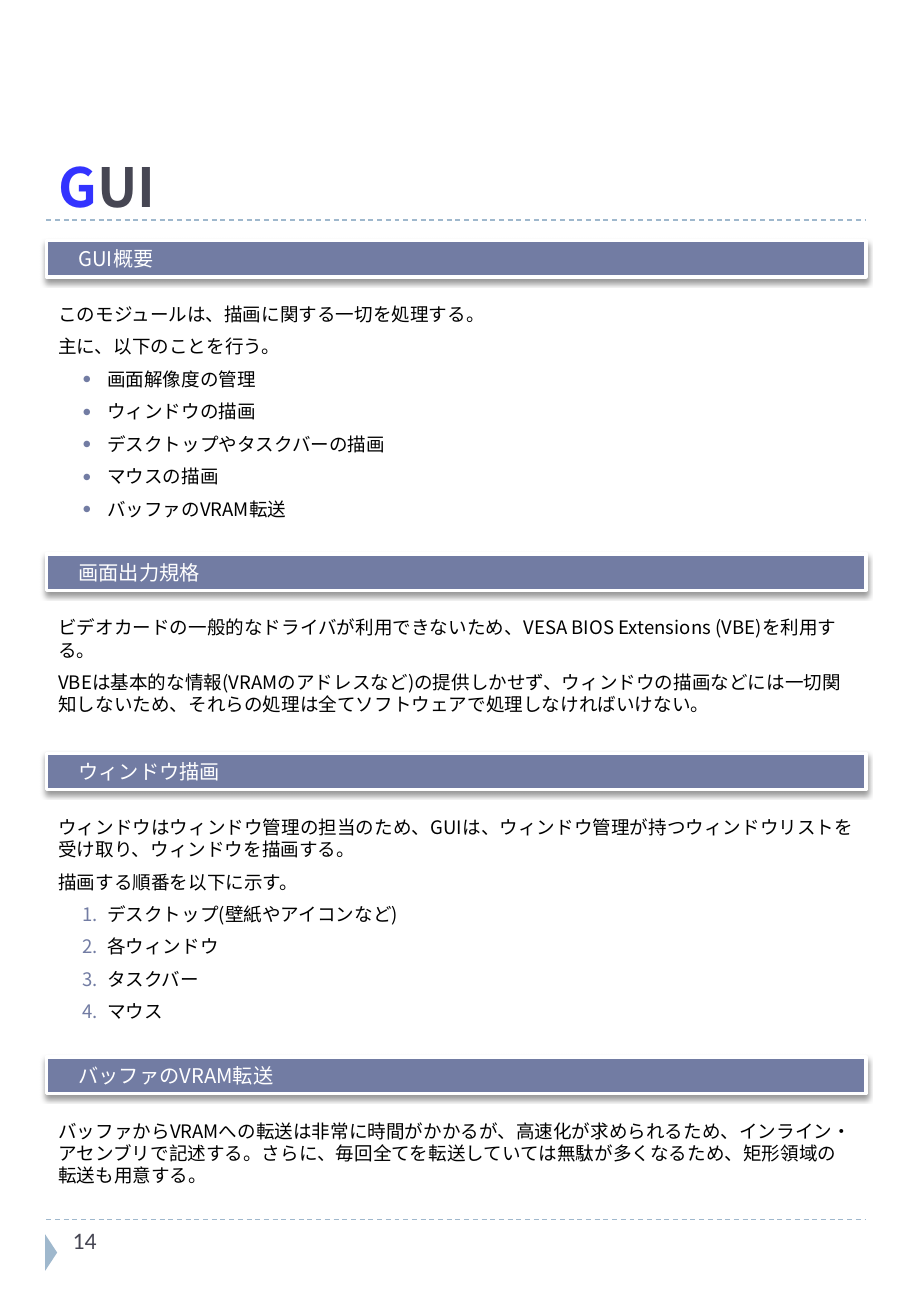
from pptx import Presentation
from pptx.dml.color import RGBColor
from pptx.enum.dml import MSO_LINE as Dash
from pptx.enum.shapes import MSO_CONNECTOR as Link, MSO_SHAPE as Preset
from pptx.enum.text import MSO_ANCHOR as Anchor, PP_ALIGN as Align
from pptx.oxml.ns import qn
from pptx.oxml.xmlchemy import OxmlElement as Element
from pptx.util import Cm, Pt

JAPANESE = "Noto Sans CJK JP"
SLATE, SKY, INK = "727CA3", "9FB8CD", "464653"
LEFT, WIDTH, BAR_HEIGHT, BODY_OFFSET = 0.97, 17.14, 0.76, 1.18

BODY_FONT = {"size": Pt(11), "name": JAPANESE}
BAR_FONT = {"size": Pt(12), "name": JAPANESE}
TITLE_FONT = {"size": Pt(32), "name": JAPANESE, "bold": True}
NUMBER_FONT = {"size": Pt(14), "name": "Calibri"}
BODY_PARA = {"line_spacing": Pt(13.2), "space_before": Pt(6)}
BAR_PARA = {"line_spacing": Pt(14.4), "alignment": Align.LEFT}

SECTIONS = [
    (5.03, 4.83, "　GUI概要", [
        ("", "このモジュールは、描画に関する一切を処理する。"),
        ("", "主に、以下のことを行う。"),
        ("dot", "画面解像度の管理"),
        ("dot", "ウィンドウの描画"),
        ("dot", "デスクトップやタスクバーの描画"),
        ("dot", "マウスの描画"),
        ("dot", "バッファのVRAM転送"),
    ]),
    (11.58, 2.36, "　画面出力規格", [
        ("", "ビデオカードの一般的なドライバが利用できないため、"
             "VESA BIOS Extensions (VBE)を利用する。"),
        ("", "VBEは基本的な情報(VRAMのアドレスなど)の提供しかせず、"
             "ウィンドウの描画などには一切関知しないため、"
             "それらの処理は全てソフトウェアで処理しなければいけない。"),
    ]),
    (15.75, 4.62, "　ウィンドウ描画", [
        ("", "ウィンドウはウィンドウ管理の担当のため、GUIは、"
             "ウィンドウ管理が持つウィンドウリストを受け取り、ウィンドウを描画する。"),
        ("", "描画する順番を以下に示す。"),
        ("number", "デスクトップ(壁紙やアイコンなど)"),
        ("number", "各ウィンドウ"),
        ("number", "タスクバー"),
        ("number", "マウス"),
    ]),
    (22.1, 1.68, "　バッファのVRAM転送", [
        ("", "バッファからVRAMへの転送は非常に時間がかかるが、"
             "高速化が求められるため、インライン・アセンブリで記述する。"
             "さらに、毎回全てを転送していては無駄が多くなるため、"
             "矩形領域の転送も用意する。"),
    ]),
]


def color(value):
    return RGBColor.from_string(value)


def apply(target, values):
    for name, value in values.items():
        setattr(target, name, value)


def add_element(parent, tag, **attributes):
    child = Element(tag)
    for name, value in attributes.items():
        child.set(name, str(value))
    parent.append(child)
    return child


def add_span(para, text, font, hue):
    span = para.add_run()
    span.text = text
    apply(span.font, font)
    span.font.color.rgb = color(hue)
    add_element(span.font._element, "a:ea", typeface=font["name"])


def add_marker(para, kind):
    settings = para._p.get_or_add_pPr()
    settings.set("marL", str(Cm(1.02)))
    settings.set("indent", str(-Cm(0.51)))
    hue = add_element(settings, "a:buClr")
    add_element(hue, "a:srgbClr", val=SLATE)
    if kind == "dot":
        add_element(settings, "a:buSzPct", val=76000)
        add_element(settings, "a:buFont", typeface="Calibri")
        add_element(settings, "a:buChar", char="●")
    else:
        add_element(settings, "a:buFont", typeface=JAPANESE)
        add_element(settings, "a:buAutoNum", type="arabicPeriod")


def add_box(page, left, top, width, height, **frame):
    box = page.shapes.add_textbox(Cm(left), Cm(top), Cm(width), Cm(height))
    apply(box.text_frame, {"word_wrap": True, **frame})
    return box.text_frame


def add_body(page, top, height, items):
    frame = add_box(page, LEFT, top, WIDTH, height)
    for index, (kind, text) in enumerate(items):
        para = frame.add_paragraph() if index else frame.paragraphs[0]
        if kind:
            add_marker(para, kind)
        apply(para, BODY_PARA)
        if not index:
            para.space_before = Pt(0)
        add_span(para, text, BODY_FONT, "000000")


def add_shape(page, preset, left, top, width, height, fill):
    shape = page.shapes.add_shape(
        preset, Cm(left), Cm(top), Cm(width), Cm(height))
    shape.shadow.inherit = False
    shape.fill.solid()
    shape.fill.fore_color.rgb = color(fill)
    return shape


def add_bar(page, top, text):
    bar = add_shape(page, Preset.RECTANGLE, LEFT, top, WIDTH, BAR_HEIGHT, SLATE)
    bar.line.color.rgb = color("FFFFFF")
    bar.line.width = Pt(2)
    effects = bar._element.spPr.find(qn("a:effectLst"))
    shadow = add_element(effects, "a:outerShdw", blurRad=Pt(3), dist=Pt(2),
                         dir=5400000, algn="ctr", rotWithShape=0)
    shade = add_element(shadow, "a:srgbClr", val="000000")
    add_element(shade, "a:alpha", val=40000)
    apply(bar.text_frame, {"word_wrap": True, "vertical_anchor": Anchor.BOTTOM})
    para = bar.text_frame.paragraphs[0]
    apply(para, BAR_PARA)
    add_span(para, text, BAR_FONT, "FFFFFF")


def add_rule(page, top):
    rule = page.shapes.add_connector(
        Link.STRAIGHT, Cm(LEFT), Cm(top), Cm(LEFT + WIDTH), Cm(top))
    apply(rule.line, {"width": Pt(0.75), "dash_style": Dash.DASH})
    rule.line.color.rgb = color(SKY)
    add_element(rule._element.spPr, "a:effectLst")


def add_title(page):
    frame = add_box(page, LEFT, 0.61, WIDTH, 3.96,
                    vertical_anchor=Anchor.BOTTOM, margin_bottom=0)
    para = frame.paragraphs[0]
    add_span(para, "G", TITLE_FONT, "3333FF")
    add_span(para, "UI", TITLE_FONT, INK)


def add_footer(page):
    arrow = add_shape(page, Preset.ISOSCELES_TRIANGLE,
                      0.69, 26.06, 0.76, 0.25, SKY)
    arrow.line.fill.background()
    arrow.rotation = 90
    frame = add_box(page, 1.27, 25.5, 4.11, 1.47)
    add_span(frame.paragraphs[0], "14", NUMBER_FONT, INK)


def main():
    deck = Presentation()
    apply(deck, {"slide_width": Cm(19.05), "slide_height": Cm(27.51)})
    page = deck.slides.add_slide(deck.slide_layouts[6])
    for top in (4.6, 25.5):
        add_rule(page, top)
    add_title(page)
    add_footer(page)
    for top, height, heading, items in SECTIONS:
        add_bar(page, top, heading)
        add_body(page, top + BODY_OFFSET, height, items)
    deck.save("out.pptx")


if __name__ == "__main__":
    main()
